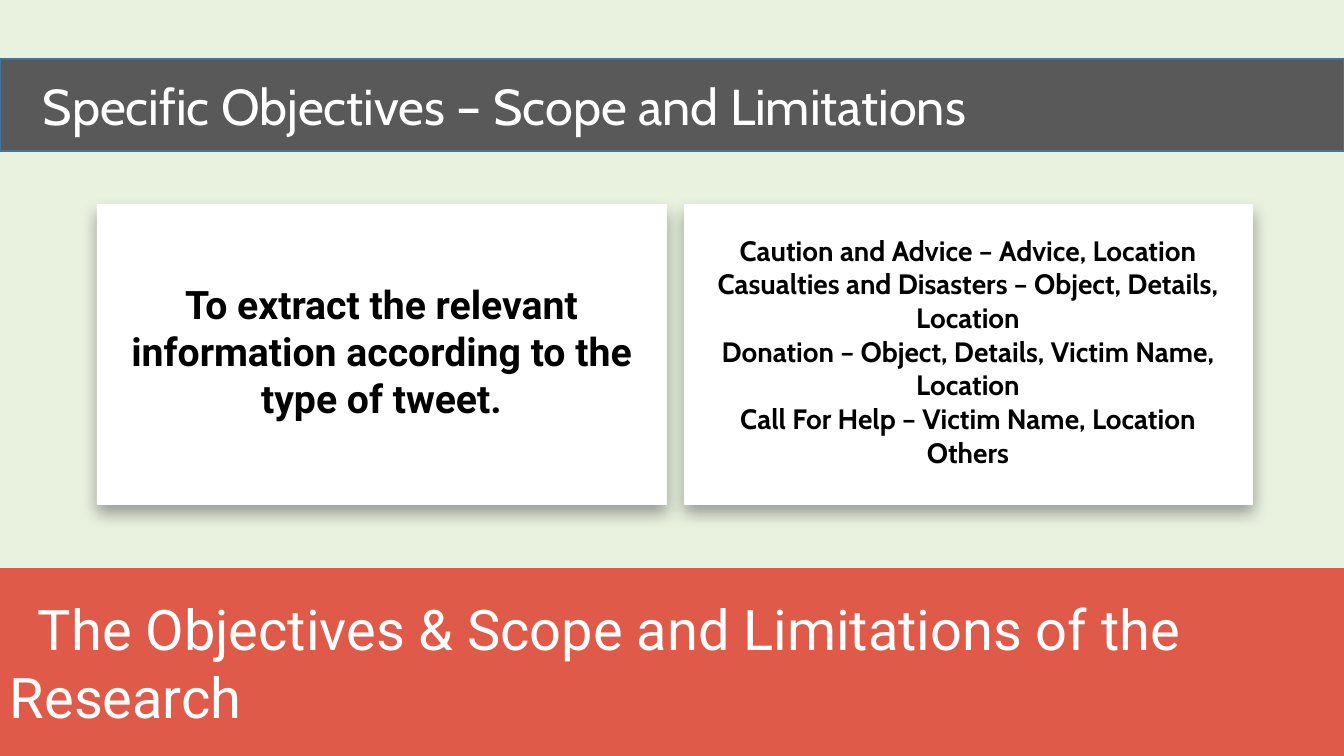
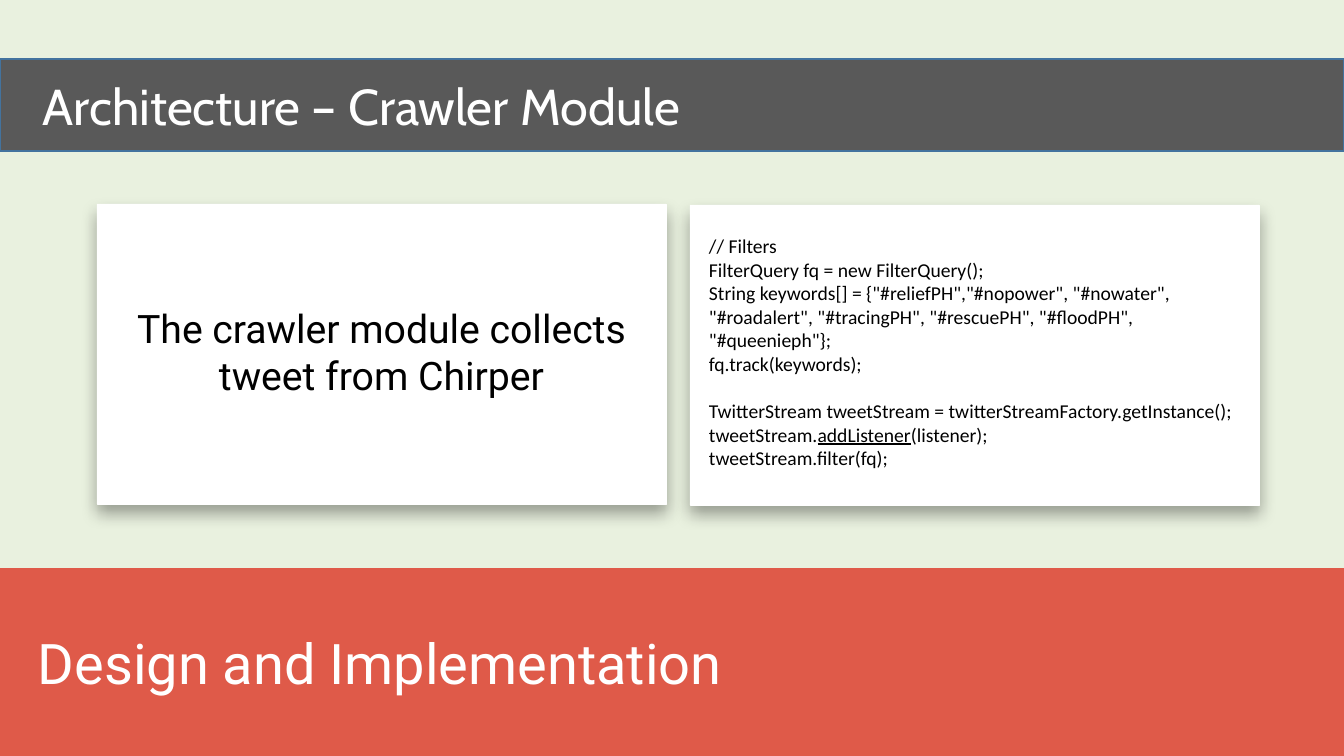
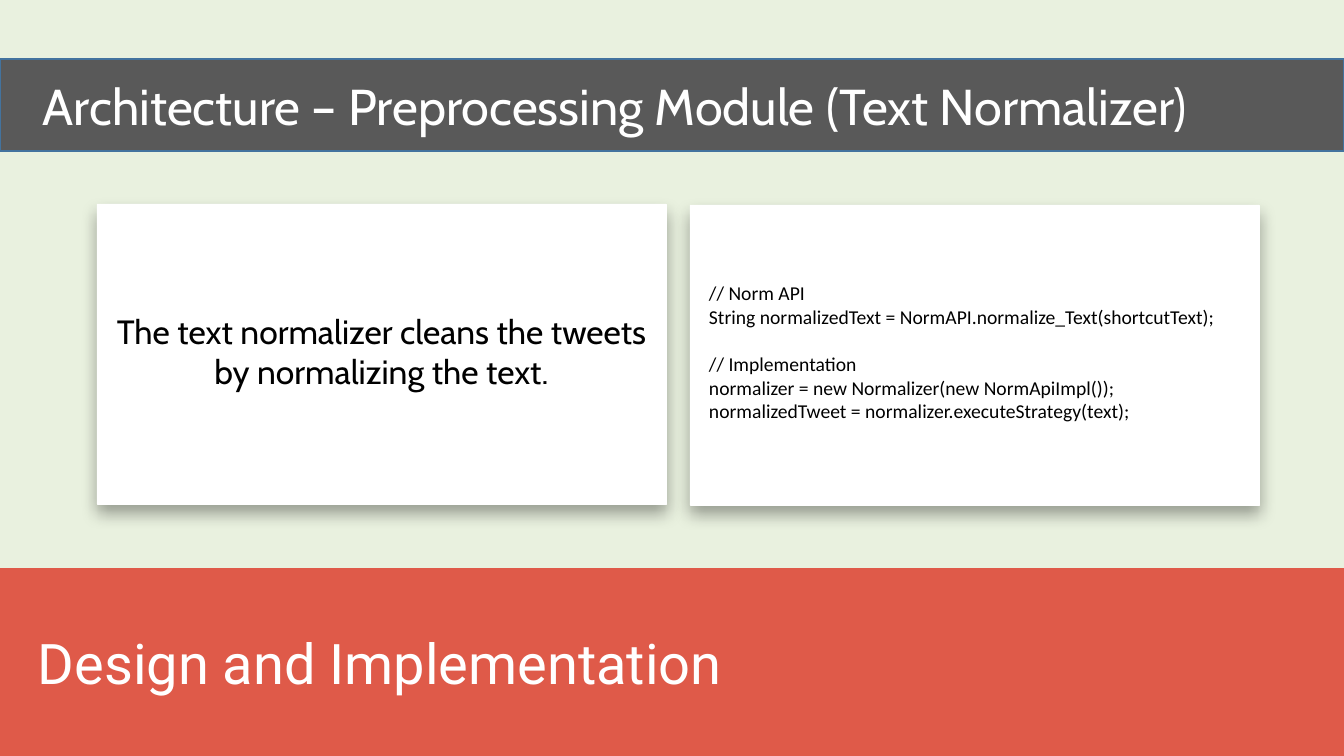
"""Build three slides on the research scope and the design of a tweet extractor."""
from lxml.etree import SubElement as Sub
from pptx import Presentation
from pptx.dml.color import RGBColor as Rgb
from pptx.enum.shapes import MSO_SHAPE as Shape
from pptx.enum.text import MSO_ANCHOR as Anchor, PP_ALIGN as Align
from pptx.oxml.ns import qn
from pptx.util import Pt

PX = 914400 / 100.8
WIDE, HIGH = 1344, 756
HEX = {"page": "E9F1DF", "foot": "DF5A49", "band": "595959", "edge": "43739E",
       "white": "FFFFFF", "black": "000000"}

BAND = (0, 59, WIDE, 92)
FOOT = (0, 568, WIDE, HIGH - 568)
LEFT = (97, 204, 569, 300)
NEAR = (684, 204, 568, 300)
FAR = (690, 205, 569, 300)
PADS = (19, 10, 19, 16)
CODE = {"font": "Calibri", "size": 14, "align": Align.LEFT}
GAP = 17
DESIGN = "Design and Implementation"

SLIDES = [
    {"title": "Specific Objectives – Scope and Limitations",
     "foot": "The Objectives & Scope and Limitations of the Research",
     "cards": [
         (LEFT, {"font": "Roboto", "size": 28, "bold": True},
          ["To extract the relevant information according to the type of tweet."]),
         (NEAR, {"font": "Cabin", "size": 20, "bold": True},
          ["Caution and Advice – Advice, Location",
           "Casualties and Disasters – Object, Details, Location",
           "Donation – Object, Details, Victim Name, Location",
           "Call For Help – Victim Name, Location",
           "Others"])]},
    {"title": "Architecture – Crawler Module",
     "foot": DESIGN,
     "cards": [
         (LEFT, {"font": "Roboto", "size": 28},
          ["The crawler module collects tweet from Chirper"]),
         (FAR, CODE,
          ["// Filters",
           "FilterQuery fq = new FilterQuery();",
           'String keywords[] = {"#reliefPH","#nopower", "#nowater", "#roadalert", '
           '"#tracingPH", "#rescuePH", "#floodPH", "#queenieph"};',
           "fq.track(keywords);",
           None,
           "TwitterStream tweetStream = twitterStreamFactory.getInstance();",
           ("tweetStream.", "addListener", "(listener);"),
           "tweetStream.filter(fq);"])]},
    {"title": "Architecture – Preprocessing Module (Text Normalizer)",
     "foot": DESIGN,
     "cards": [
         (LEFT, {"font": "Cabin", "size": 24},
          ["The text normalizer cleans the tweets by normalizing the text."]),
         (FAR, CODE,
          ["// Norm API",
           "String normalizedText = NormAPI.normalize_Text(shortcutText);",
           None,
           "// Implementation",
           "normalizer = new Normalizer(new NormApiImpl());",
           "normalizedTweet = normalizer.executeStrategy(text);"])]},
]


def emu(px):
    """Turn pixels into EMU."""
    return round(px * PX)


def color(name):
    """Look up a named colour."""
    return Rgb.from_string(HEX[name])


def box(slide, area, fill, edge=None, width=1):
    """Add a plain rectangle."""
    rect = slide.shapes.add_shape(Shape.RECTANGLE, *map(emu, area))
    rect.shadow.inherit = False
    rect.fill.solid()
    rect.fill.fore_color.rgb = color(fill)
    if edge:
        rect.line.color.rgb = color(edge)
        rect.line.width = Pt(width)
    else:
        rect.line.fill.background()
    return rect


def write(rect, lines, font, size, tint, bold=False, align=Align.LEFT, indent=0):
    """Fill a rectangle with styled paragraphs; None opens a gap."""
    frame = rect.text_frame
    frame.word_wrap = True
    frame.vertical_anchor = Anchor.MIDDLE
    para, gap = None, False
    for line in lines:
        if line is None:
            gap = True
            continue
        para = frame.add_paragraph() if para else frame.paragraphs[0]
        para.alignment = align
        if indent:
            para._p.get_or_add_pPr().set("indent", str(emu(indent)))
        if gap:
            para.space_before = Pt(GAP)
            gap = False
        parts = (line,) if isinstance(line, str) else line
        for i, part in enumerate(parts):
            run = para.add_run()
            run.text = part
            if i == 1:
                run.font.underline = True
        para.font.name, para.font.size = font, Pt(size)
        para.font.bold = bold
        para.font.color.rgb = color(tint)


def shade(rect):
    """Drop a soft shadow below a rectangle."""
    effect = rect._element.spPr.find(qn("a:effectLst"))
    drop = Sub(effect, qn("a:outerShdw"), blurRad=str(Pt(12)), dist=str(Pt(6)),
               dir="5400000", rotWithShape="0")
    tone = Sub(drop, qn("a:srgbClr"), val=HEX["black"])
    Sub(tone, qn("a:alpha"), val="35000")


def card(slide, area, style, lines):
    """Add a white card with text."""
    rect = box(slide, area, "white", "white", 0.5)
    shade(rect)
    frame = rect.text_frame
    (frame.margin_left, frame.margin_top,
     frame.margin_right, frame.margin_bottom) = map(emu, PADS)
    write(rect, lines, **{"align": Align.CENTER, "tint": "black", **style})


def main():
    """Build and save the deck."""
    deck = Presentation()
    deck.slide_width, deck.slide_height = emu(WIDE), emu(HIGH)
    for data in SLIDES:
        slide = deck.slides.add_slide(deck.slide_layouts[6])
        slide.background.fill.solid()
        slide.background.fill.fore_color.rgb = color("page")
        foot = box(slide, FOOT, "foot")
        write(foot, [data["foot"]], "Roboto", 40, "white", indent=28)
        band = box(slide, BAND, "band", "edge")
        write(band, [data["title"]], "Cabin", 36, "white", indent=33)
        for area, style, lines in data["cards"]:
            card(slide, area, style, lines)
    deck.save("out.pptx")


if __name__ == "__main__":
    main()
